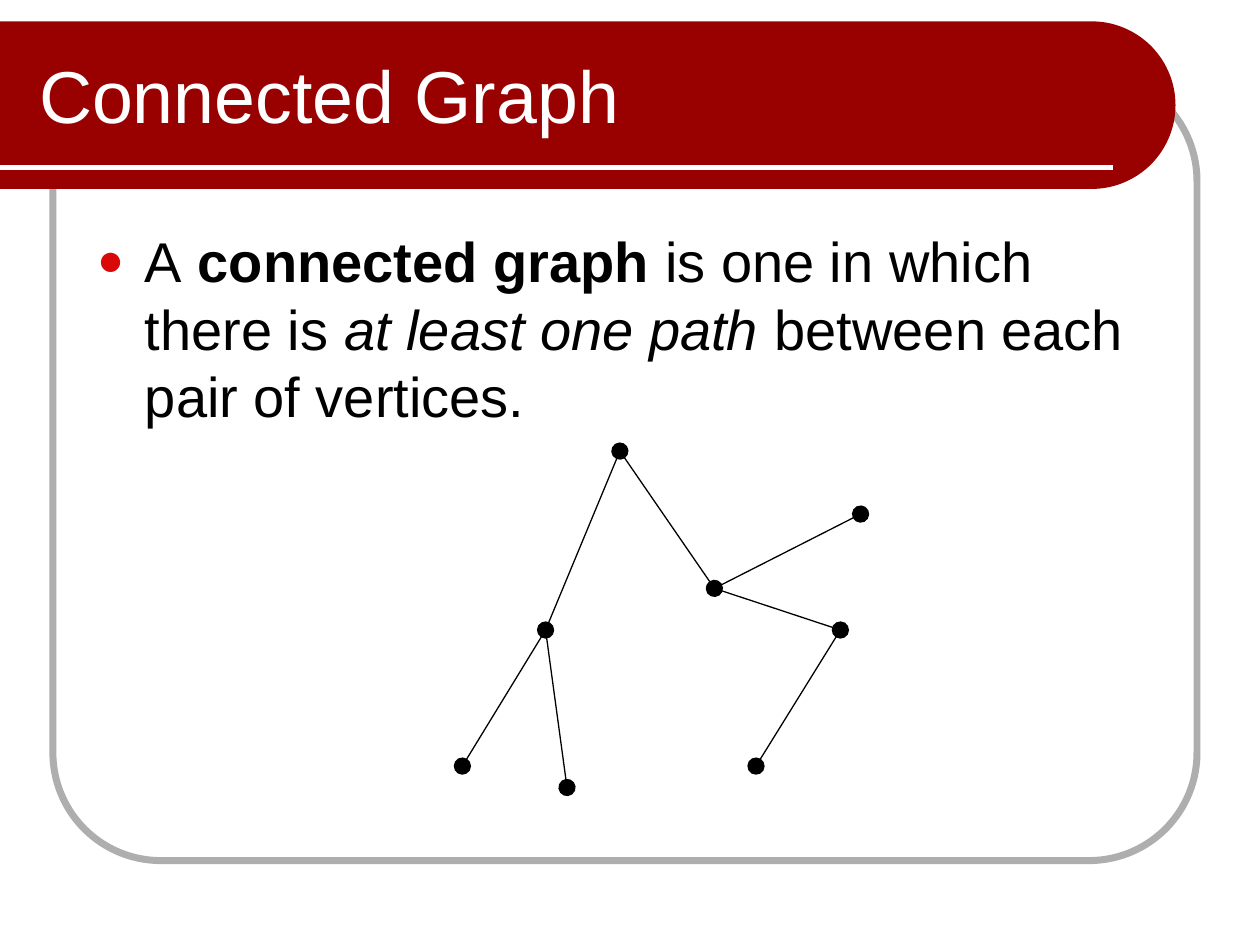
import math
from dataclasses import dataclass

from lxml import etree
from pptx import Presentation
from pptx.dml.color import RGBColor
from pptx.enum.shapes import MSO_CONNECTOR, MSO_SHAPE
from pptx.enum.text import MSO_ANCHOR, MSO_AUTO_SIZE, PP_ALIGN
from pptx.oxml.ns import qn
from pptx.shapes.connector import Connector
from pptx.slide import Slide
from pptx.text.text import Font
from pptx.util import Inches, Pt

STRAIGHT = MSO_CONNECTOR.STRAIGHT
ROUNDED_RECTANGLE = MSO_SHAPE.ROUNDED_RECTANGLE
MIDDLE, TOP = MSO_ANCHOR.MIDDLE, MSO_ANCHOR.TOP
LEFT = PP_ALIGN.LEFT
NO_AUTOFIT = MSO_AUTO_SIZE.NONE

FONT = "Arial"
RED = RGBColor(0x99, 0x00, 0x00)
BULLET_RED = RGBColor(0xDA, 0x08, 0x08)
GRAY = RGBColor(0xAE, 0xAE, 0xAE)
WHITE = RGBColor(0xFF, 0xFF, 0xFF)
BLACK = RGBColor(0x00, 0x00, 0x00)

Point = tuple[float, float]


@dataclass(frozen=True)
class Edge:
    start: Point
    end: Point
    start_dot: bool = False
    end_dot: bool = False


@dataclass(frozen=True)
class Phrase:
    text: str
    bold: bool = False
    italic: bool = False


# Vertices of the graph
APEX, HUB, FORK = (4.92, 3.58), (5.67, 4.67), (4.33, 5)
ELBOW, RIGHT_TIP = (6.67, 5), (6.83, 4.08)
LEFT_LEAF, MIDDLE_LEAF, RIGHT_LEAF = (3.67, 6.08), (4.5, 6.25), (6, 6.08)

EDGES = [
    Edge(FORK, LEFT_LEAF, True, True),
    Edge(ELBOW, RIGHT_LEAF, True, True),
    Edge(APEX, HUB, True, True),
    Edge(FORK, APEX),
    Edge(HUB, ELBOW),
    Edge(FORK, MIDDLE_LEAF, end_dot=True),
    Edge(HUB, RIGHT_TIP, end_dot=True),
]

DEFINITION = [
    Phrase("A"),
    Phrase(" connected graph", bold=True),
    Phrase(" is one in which there is "),
    Phrase("at least one path ", italic=True),
    Phrase("between each pair of vertices."),
]


def place(shape, left: float, top: float, width: float, height: float) -> None:
    shape.left, shape.top = Inches(left), Inches(top)
    shape.width, shape.height = Inches(width), Inches(height)


def style_font(font: Font, size: float, color: RGBColor) -> None:
    font.name, font.size = FONT, Pt(size)
    font.color.rgb = color


def add_line(slide: Slide, start: Point, end: Point,
             color: RGBColor, width: float) -> Connector:
    line = slide.shapes.add_connector(
        STRAIGHT, *(Inches(value) for value in (*start, *end)))
    line.line.color.rgb = color
    line.line.width = Pt(width)
    etree.SubElement(line._element.spPr, qn("a:effectLst"))
    return line


def add_edge(slide: Slide, edge: Edge) -> None:
    line = add_line(slide, edge.start, edge.end, BLACK, 0.75)
    outline = line.line._get_or_add_ln()
    for tag, dotted in (("a:headEnd", edge.start_dot), ("a:tailEnd", edge.end_dot)):
        if dotted:
            etree.SubElement(outline, qn(tag), type="oval", w="lg", len="lg")


def add_frame(slide: Slide) -> None:
    frame = slide.shapes.add_shape(
        ROUNDED_RECTANGLE, Inches(0.42), Inches(0.58), Inches(9.08), Inches(6.25))
    frame.adjustments[0] = 0.137
    frame.fill.background()
    frame.line.color.rgb = GRAY
    frame.line.width = Pt(4)
    frame.shadow.inherit = False


def add_banner(slide: Slide) -> None:
    """Draw a bar whose right end is a half circle."""
    top, bottom, right = 0.17, 1.5, 9.33
    radius = (bottom - top) / 2
    center_x, center_y = right - radius, top + radius
    arc = [(center_x + radius * math.cos(angle), center_y + radius * math.sin(angle))
           for angle in (math.radians(degrees) for degrees in range(-90, 91, 3))]
    builder = slide.shapes.build_freeform(0, Inches(top))
    builder.add_line_segments(
        [(Inches(x), Inches(y)) for x, y in [*arc, (0, bottom)]], close=True)
    banner = builder.convert_to_shape()
    banner.fill.solid()
    banner.fill.fore_color.rgb = RED
    banner.line.fill.background()
    banner.shadow.inherit = False


def fill_title(title) -> None:
    place(title, 0.21, 0.25, 7.79, 1)
    frame = title.text_frame
    frame.text = "Connected Graph"
    frame.auto_size = NO_AUTOFIT
    frame.vertical_anchor = MIDDLE
    paragraph = frame.paragraphs[0]
    paragraph.alignment = LEFT
    style_font(paragraph.runs[0].font, 42, WHITE)


def fill_body(body) -> None:
    place(body, 0.67, 1.75, 8.67, 4.83)
    frame = body.text_frame
    frame.auto_size = NO_AUTOFIT
    frame.vertical_anchor = TOP
    paragraph = frame.paragraphs[0]
    for phrase in DEFINITION:
        run = paragraph.add_run()
        run.text = phrase.text
        style_font(run.font, 32, BLACK)
        run.font.bold, run.font.italic = phrase.bold, phrase.italic

    # Hanging indent and red bullet
    properties = paragraph._p.get_or_add_pPr()
    properties.set("marL", str(Inches(0.38)))
    properties.set("indent", str(Inches(-0.38)))
    bullet_color = etree.SubElement(properties, qn("a:buClr"))
    etree.SubElement(bullet_color, qn("a:srgbClr"), val=str(BULLET_RED))
    etree.SubElement(properties, qn("a:buSzPct"), val="80000")
    etree.SubElement(properties, qn("a:buFont"), typeface=FONT)
    etree.SubElement(properties, qn("a:buChar"), char="●")


def main() -> None:
    presentation = Presentation()
    presentation.slide_width, presentation.slide_height = Inches(10), Inches(7.5)
    slide = presentation.slides.add_slide(presentation.slide_layouts[1])
    title, body = slide.placeholders

    # Background decoration
    add_frame(slide)
    add_banner(slide)
    add_line(slide, (0, 1.33), (8.83, 1.33), WHITE, 3)

    # Text, brought in front of the decoration
    for placeholder in (title, body):
        slide.shapes._spTree.append(placeholder._element)
    fill_title(title)
    fill_body(body)

    # Graph
    for edge in EDGES:
        add_edge(slide, edge)

    presentation.save("out.pptx")


if __name__ == "__main__":
    main()
